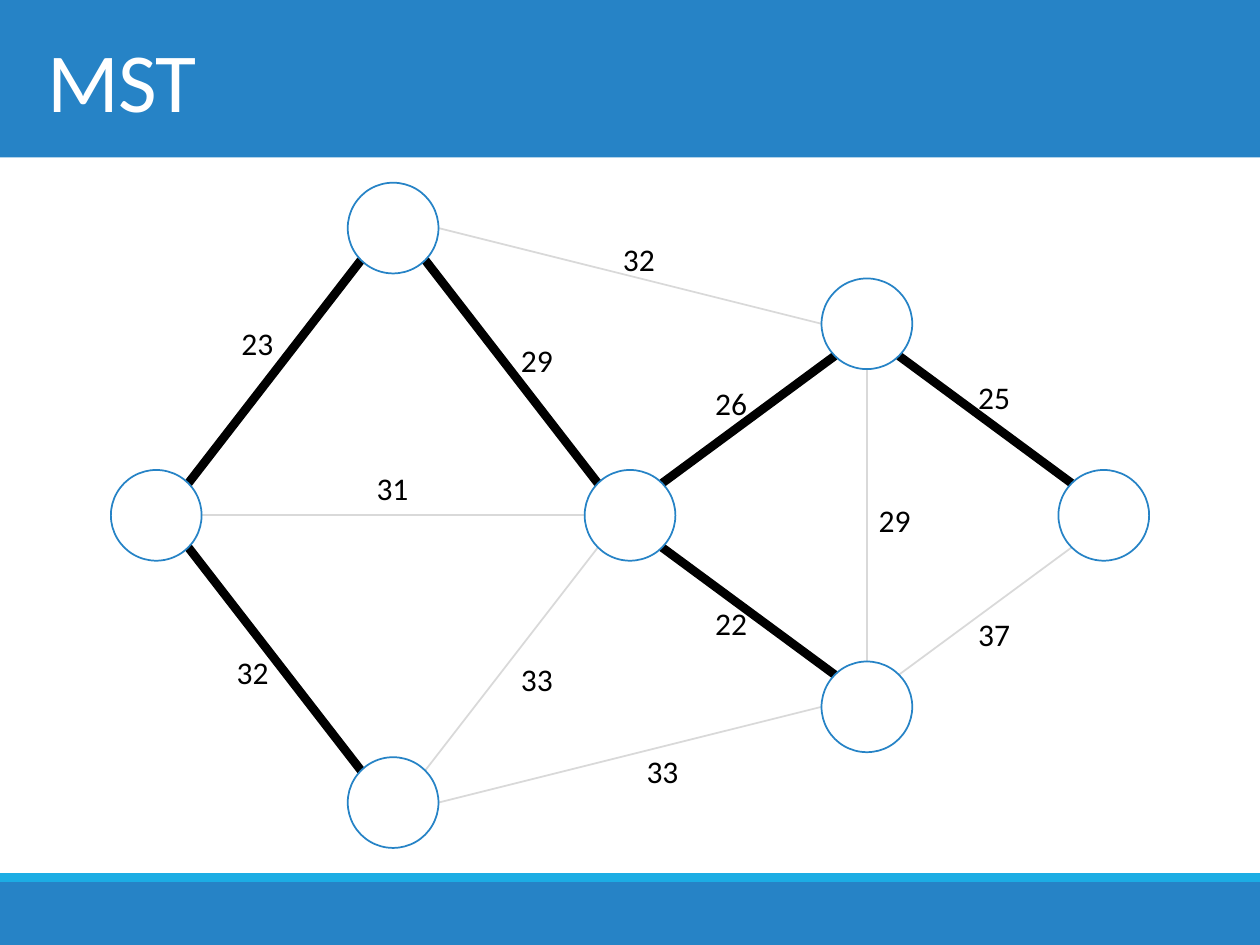
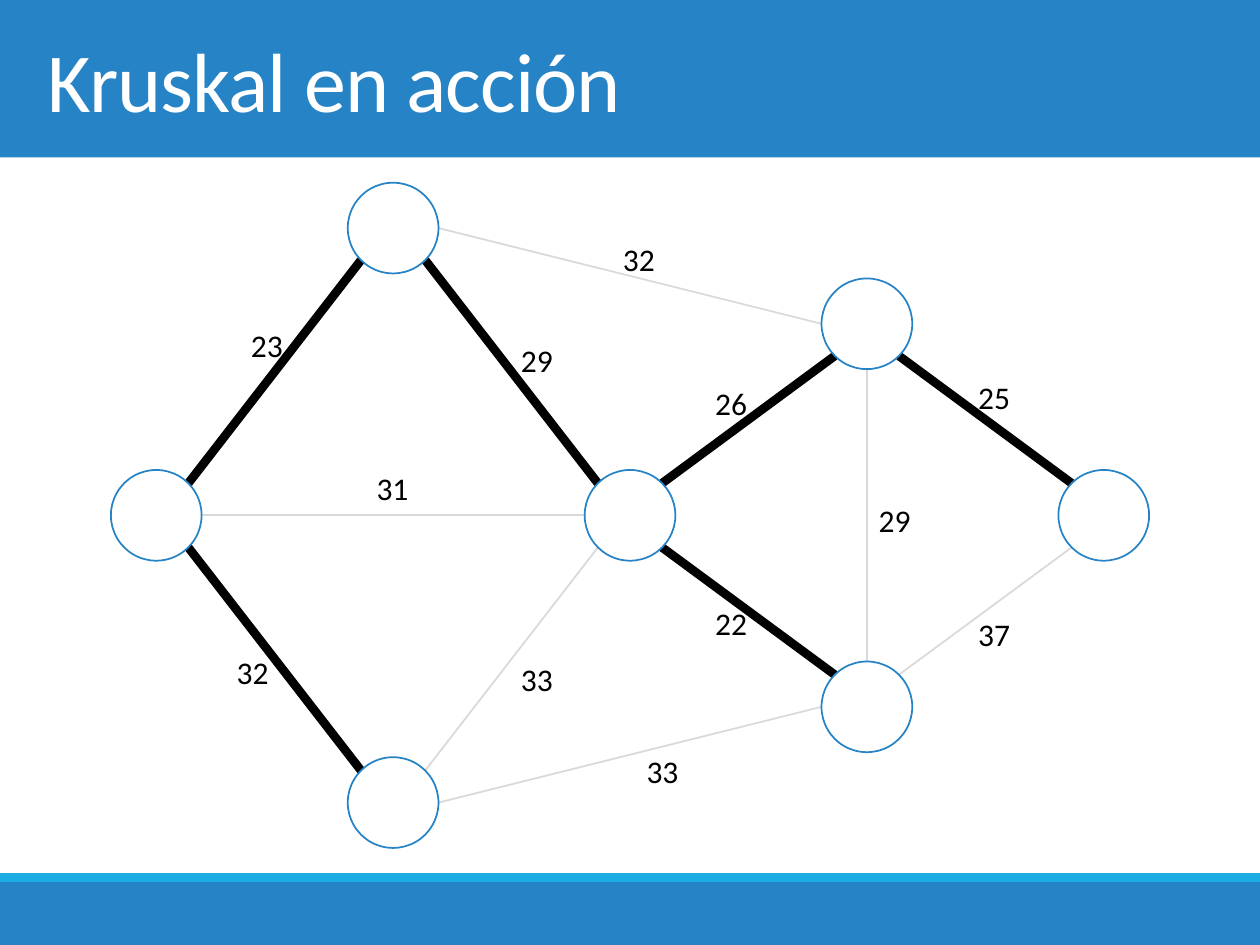
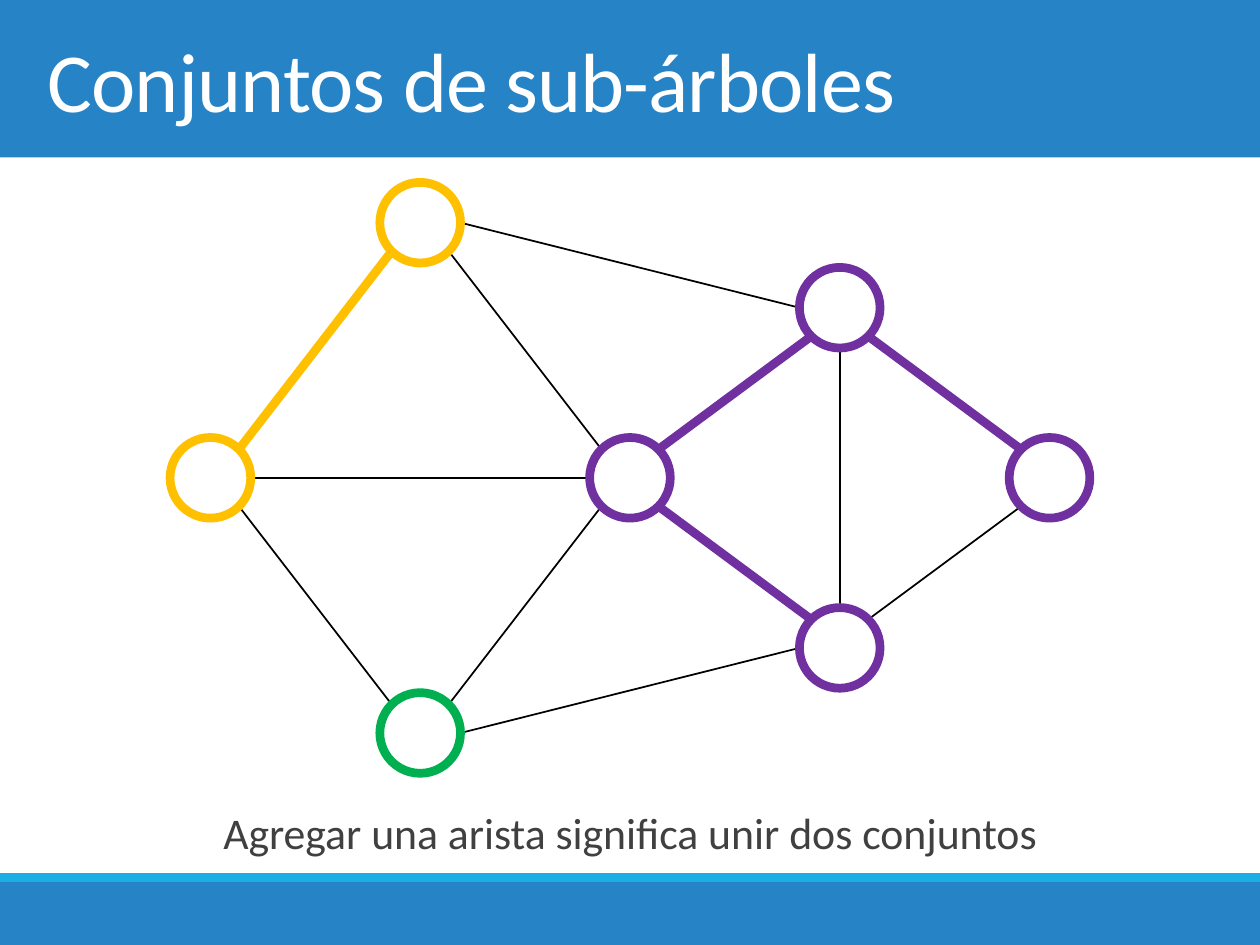
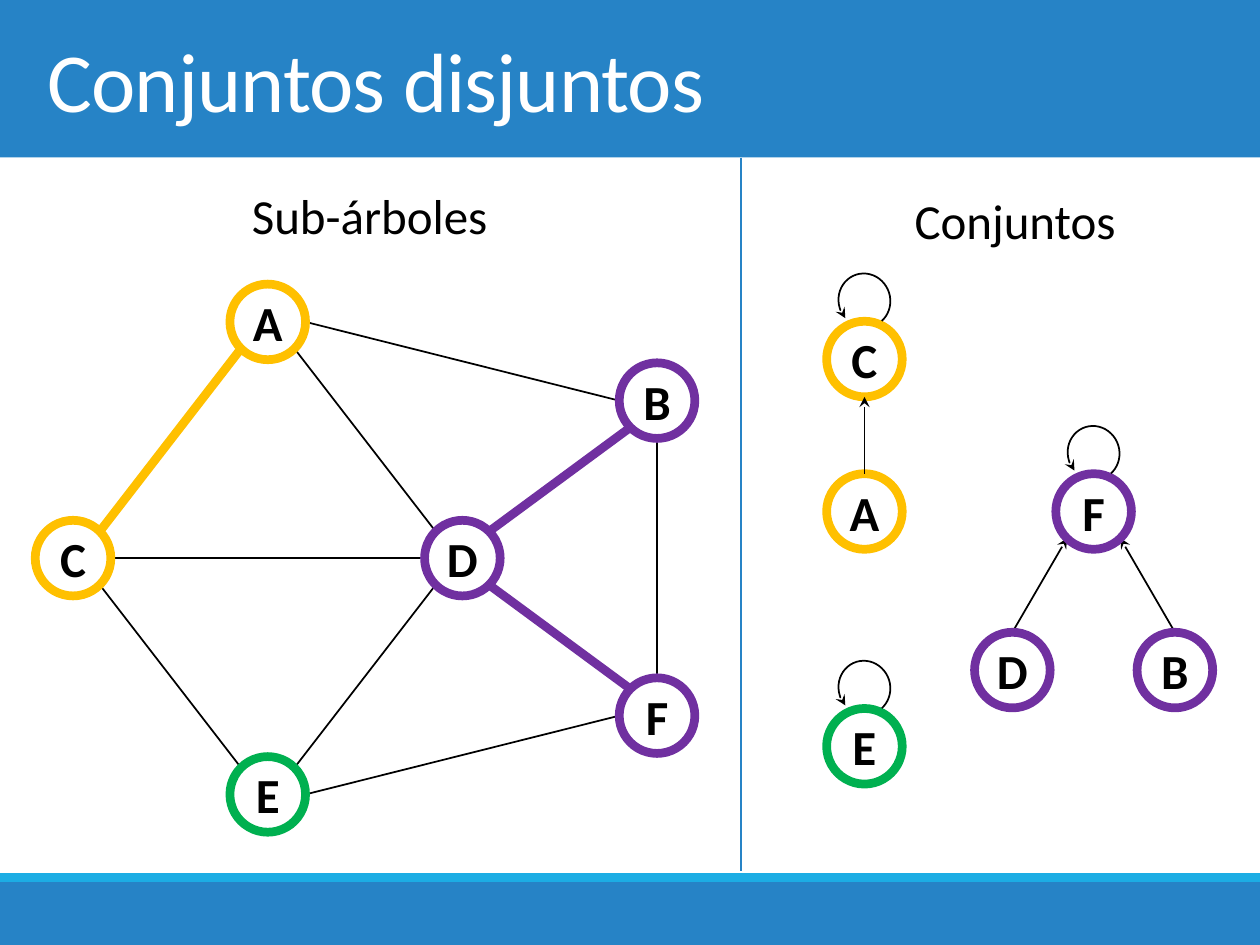
"""Four slides on Kruskal's algorithm: spanning trees and disjoint sets."""
import math
from dataclasses import dataclass
from typing import Callable, NamedTuple, Optional

import pptx
import pptx.dml.color
import pptx.enum.shapes
import pptx.enum.text
import pptx.oxml
import pptx.oxml.ns
import pptx.util

SHAPE = pptx.enum.shapes.MSO_SHAPE
ALIGN = pptx.enum.text.PP_ALIGN
ANCHOR = pptx.enum.text.MSO_ANCHOR

COLUMNS, ROWS, CELL = 40, 30, 0.25  # the slide grid; one cell is 0.25 inch


@dataclass(frozen=True)
class Theme:
    """Colours, type sizes and line widths of the whole deck."""
    font: str = "Calibri"
    blue: str = "2683C6"
    cyan: str = "1CADE4"
    white: str = "FFFFFF"
    black: str = "000000"
    gray: str = "404040"
    pale: str = "D9D9D9"
    amber: str = "FFC000"
    purple: str = "7030A0"
    green: str = "00B050"
    title: float = 48
    heading: float = 28
    caption: float = 25
    weight: float = 18
    thin: float = 1
    thick: float = 5


THEME = Theme()


class Box(NamedTuple):
    """Left, top, width and height in grid cells."""
    left: float
    top: float
    width: float
    height: float


class Point(NamedTuple):
    """A place in grid cells."""
    x: float
    y: float


class Stroke(NamedTuple):
    """Colour and width of a line."""
    color: str
    width: float


class Edge(NamedTuple):
    """Two nodes, the side where each is met, the weight and its place."""
    start: str
    start_side: str
    end: str
    end_side: str
    weight: str
    label: tuple[float, float]


@dataclass(frozen=True)
class Frame:
    """Puts graph columns and rows, counted from a centre, on the slide grid."""
    center: Point
    column: float
    row: float
    diameter: float

    def place(self, spot: tuple[float, float]) -> Point:
        """Return the grid place of a graph column and row."""
        return Point(self.center.x + spot[0] * self.column,
                     self.center.y + spot[1] * self.row)

    def rim(self, spot: tuple[float, float], side: str) -> Point:
        """Return the point of a node's circle at a compass side."""
        middle = self.place(spot)
        angle = math.radians(45 * SIDES.index(side))
        radius = self.diameter / 2
        return Point(middle.x + radius * math.cos(angle),
                     middle.y + radius * math.sin(angle))


SIDES = ("E", "SE", "S", "SW", "W", "NW", "N", "NE")

NODES = {"B": (1, -2), "A": (-1, -3), "E": (-1, 3), "D": (0, 0),
         "F": (1, 2), "G": (2, 0), "C": (-2, 0)}
EDGES = (
    Edge("A", "SW", "C", "NE", "23", (-1.57, -1.8)),
    Edge("A", "SE", "D", "NW", "29", (-0.39, -1.62)),
    Edge("D", "NE", "B", "SW", "26", (0.43, -1.17)),
    Edge("B", "SE", "G", "NW", "25", (1.54, -1.24)),
    Edge("C", "SE", "E", "NW", "32", (-1.59, 1.64)),
    Edge("E", "NE", "D", "SW", "33", (-0.39, 1.71)),
    Edge("F", "NW", "D", "SE", "22", (0.43, 1.12)),
    Edge("F", "NE", "G", "SW", "37", (1.54, 1.24)),
    Edge("C", "E", "D", "W", "31", (-1, -0.28)),
    Edge("A", "E", "B", "W", "32", (0.04, -2.68)),
    Edge("B", "S", "F", "N", "29", (1.12, 0.05)),
    Edge("E", "E", "F", "W", "33", (0.14, 2.67)),
)
TREE = {"AC", "AD", "BD", "BG", "CE", "DF"}
SET_COLORS = {"A": THEME.amber, "C": THEME.amber, "E": THEME.green,
              "B": THEME.purple, "D": THEME.purple, "F": THEME.purple,
              "G": THEME.purple}

FOREST = {"F": (0, 0), "D": (-1, 1.04), "B": (1, 1.04),
          "A": (-2.82, 0), "C": (-2.82, -1), "E": (-2.82, 1.54)}
ROOTS = "CFE"

MST_FRAME = Frame(Point(20, 16.36), 7.52, 3.04, 2.88)
SETS_FRAME = Frame(Point(20, 15.17), 6.66, 2.7, 2.56)
SUBTREES_FRAME = Frame(Point(14.68, 17.72), 6.18, 2.5, 2.4)
FOREST_FRAME = Frame(Point(34.72, 16.24), 2.58, 4.84, 2.4)


def cells(count: float) -> int:
    """Turn grid cells into a length."""
    return pptx.util.Inches(count * CELL)


def rgb(color: str) -> pptx.dml.color.RGBColor:
    """Turn a hex string into a colour."""
    return pptx.dml.color.RGBColor.from_string(color)


def write(shape, text: str, *, size: float, color: str = THEME.black,
          bold: bool = False, align=ALIGN.LEFT, anchor=ANCHOR.TOP,
          wrap: bool = False, inset: Optional[float] = None,
          tracking: float = 0, leading: Optional[float] = None,
          before: float = 0, after: float = 0) -> None:
    """Put one formatted paragraph in a shape."""
    frame = shape.text_frame
    frame.word_wrap = wrap
    frame.vertical_anchor = anchor
    if inset is not None:
        frame.margin_left = frame.margin_right = cells(inset)
        frame.margin_top = frame.margin_bottom = cells(inset)
    paragraph = frame.paragraphs[0]
    paragraph.alignment = align
    if leading:
        paragraph.line_spacing = leading
        paragraph.space_before = pptx.util.Pt(before)
        paragraph.space_after = pptx.util.Pt(after)
    run = paragraph.add_run()
    run.text = text
    run.font.name = THEME.font
    run.font.size = pptx.util.Pt(size)
    run.font.bold = bold
    run.font.color.rgb = rgb(color)
    if tracking:
        run.font._element.set("spc", str(round(tracking * 100)))


def add_text(slide, box: Box, text: str, **format_args) -> None:
    """Add a text box with one paragraph."""
    write(slide.shapes.add_textbox(*map(cells, box)), text, **format_args)


def set_stroke(line, stroke: Stroke) -> None:
    """Give a line its colour and width."""
    line.color.rgb = rgb(stroke.color)
    line.width = pptx.util.Pt(stroke.width)


def add_arrowhead(shape, end: str) -> None:
    """Add a stealth arrowhead at headEnd (start) or tailEnd (end)."""
    head = pptx.oxml.parse_xml(
        f'<a:{end} {pptx.oxml.ns.nsdecls("a")} type="stealth"/>')
    shape.line._get_or_add_ln().append(head)


def add_shape(slide, kind, box: Box, fill: Optional[str] = None,
              stroke: Optional[Stroke] = None):
    """Add a flat preset shape, with or without fill and outline."""
    shape = slide.shapes.add_shape(kind, *map(cells, box))
    shape.shadow.inherit = False
    if fill:
        shape.fill.solid()
        shape.fill.fore_color.rgb = rgb(fill)
    else:
        shape.fill.background()
    if stroke:
        set_stroke(shape.line, stroke)
    else:
        shape.line.fill.background()
    return shape


def add_line(slide, start: Point, end: Point, stroke: Stroke,
             arrow: bool = False) -> None:
    """Add a straight line, with an arrowhead at its end if asked."""
    line = slide.shapes.add_connector(
        pptx.enum.shapes.MSO_CONNECTOR.STRAIGHT, *map(cells, (*start, *end)))
    set_stroke(line.line, stroke)
    line._element.spPr.append(
        pptx.oxml.parse_xml(f'<a:effectLst {pptx.oxml.ns.nsdecls("a")}/>'))
    if arrow:
        add_arrowhead(line, "tailEnd")


def add_node(slide, frame: Frame, spot: tuple[float, float], stroke: Stroke,
             letter: str = "") -> None:
    """Add one round node, with its letter if it has one."""
    middle, size = frame.place(spot), frame.diameter
    box = Box(middle.x - size / 2, middle.y - size / 2, size, size)
    node = add_shape(slide, SHAPE.OVAL, box, THEME.white, stroke)
    if letter:
        write(node, letter, size=THEME.heading, bold=True,
              align=ALIGN.CENTER, anchor=ANCHOR.MIDDLE, inset=0)


def add_loop(slide, frame: Frame, spot: tuple[float, float]) -> None:
    """Add the arrow of a root that points to itself."""
    middle = frame.place(spot)
    box = Box(middle.x - 0.82, middle.y - 2.72, 1.64, 1.72)
    loop = add_shape(slide, SHAPE.ARC, box,
                     stroke=Stroke(THEME.black, THEME.thin))
    loop.adjustments[0], loop.adjustments[1] = 92.66, 40.09
    loop.rotation = 342.8
    add_arrowhead(loop, "headEnd")


def is_tree(edge: Edge) -> bool:
    """Tell whether an edge is in the minimum spanning tree."""
    return "".join(sorted(edge.start + edge.end)) in TREE


def mst_edge(edge: Edge) -> Stroke:
    """Show tree edges in bold and fade the others."""
    if is_tree(edge):
        return Stroke(THEME.black, THEME.thick)
    return Stroke(THEME.pale, THEME.thin)


def set_edge(edge: Edge) -> Stroke:
    """Colour the tree edges that lie inside one set."""
    color = SET_COLORS[edge.start]
    if is_tree(edge) and color == SET_COLORS[edge.end]:
        return Stroke(color, THEME.thick)
    return Stroke(THEME.black, THEME.thin)


def mst_node(_: str) -> Stroke:
    """Outline every node alike."""
    return Stroke(THEME.blue, THEME.thin)


def set_node(name: str) -> Stroke:
    """Outline a node in the colour of its set."""
    return Stroke(SET_COLORS[name], THEME.thick)


def add_graph(slide, frame: Frame, edge_stroke: Callable[[Edge], Stroke],
              node_stroke: Callable[[str], Stroke], *, names: str = "BAEDFGC",
              weights: bool = False, letters: bool = False,
              moved: Optional[dict[str, tuple[float, float]]] = None) -> None:
    """Draw the named nodes and the edges between them."""
    edges = [e for e in EDGES if e.start in names and e.end in names]
    for edge in edges:
        add_line(slide, frame.rim(NODES[edge.start], edge.start_side),
                 frame.rim(NODES[edge.end], edge.end_side), edge_stroke(edge))
    for edge in edges if weights else ():
        middle = frame.place((moved or {}).get(edge.weight, edge.label))
        add_text(slide, Box(middle.x - 0.92, middle.y - 0.8, 1.84, 1.6),
                 edge.weight, size=THEME.weight)
    for name in names:
        add_node(slide, frame, NODES[name], node_stroke(name),
                 name if letters else "")


def add_forest(slide, frame: Frame) -> None:
    """Draw the sets as trees whose nodes point to their parents."""
    def point_to(child: str, parent: str, side: str) -> None:
        """Draw the arrow from a child to its parent."""
        add_line(slide, frame.rim(FOREST[child], "N"),
                 frame.rim(FOREST[parent], side),
                 Stroke(THEME.black, THEME.thin), arrow=True)

    point_to("D", "F", "SW")
    point_to("B", "F", "SE")
    for name, spot in FOREST.items():
        add_node(slide, frame, spot, set_node(name), name)
    point_to("A", "C", "S")
    for root in ROOTS:
        add_loop(slide, frame, FOREST[root])


def new_slide(deck, title: str):
    """Add a slide with the shared bands and a title."""
    slide = deck.slides.add_slide(deck.slide_layouts[6])
    for top, height, color in ((0, 5, THEME.blue), (28, 2, THEME.blue),
                               (27.72, 0.28, THEME.cyan)):
        add_shape(slide, SHAPE.RECTANGLE, Box(0, top, COLUMNS, height), color)
    add_text(slide, Box(1.12, 0, 37.8, 5), title, size=THEME.title,
             color=THEME.white, anchor=ANCHOR.MIDDLE, wrap=True, tracking=-0.5)
    return slide


def build() -> None:
    """Build the deck and save it."""
    deck = pptx.Presentation()
    deck.slide_width, deck.slide_height = cells(COLUMNS), cells(ROWS)

    mst = new_slide(deck, "MST")
    add_graph(mst, MST_FRAME, mst_edge, mst_node, weights=True)

    kruskal = new_slide(deck, "Kruskal en acción")
    add_graph(kruskal, MST_FRAME, mst_edge, mst_node, weights=True,
              moved={"23": (-1.53, -1.78)})

    subtrees = new_slide(deck, "Conjuntos de sub-árboles")
    add_text(subtrees, Box(0, 24.56, COLUMNS, 2.52),
             "Agregar una arista significa unir dos conjuntos",
             size=THEME.caption, color=THEME.gray, align=ALIGN.CENTER,
             wrap=True, leading=1.5, before=12, after=2)
    add_graph(subtrees, SETS_FRAME, set_edge, set_node)

    disjoint = new_slide(deck, "Conjuntos disjuntos")
    add_line(disjoint, Point(23.52, 5), Point(23.52, 27.64),
             Stroke(THEME.blue, THEME.thin))
    add_graph(disjoint, SUBTREES_FRAME, set_edge, set_node, names="BAEDFC",
              letters=True)
    add_forest(disjoint, FOREST_FRAME)
    for box, heading in ((Box(7.6, 5.68, 8.36, 2.28), "Sub-árboles"),
                         (Box(28.64, 5.84, 7.28, 2.28), "Conjuntos")):
        add_text(disjoint, box, heading, size=THEME.heading)

    deck.save("out.pptx")


build()
